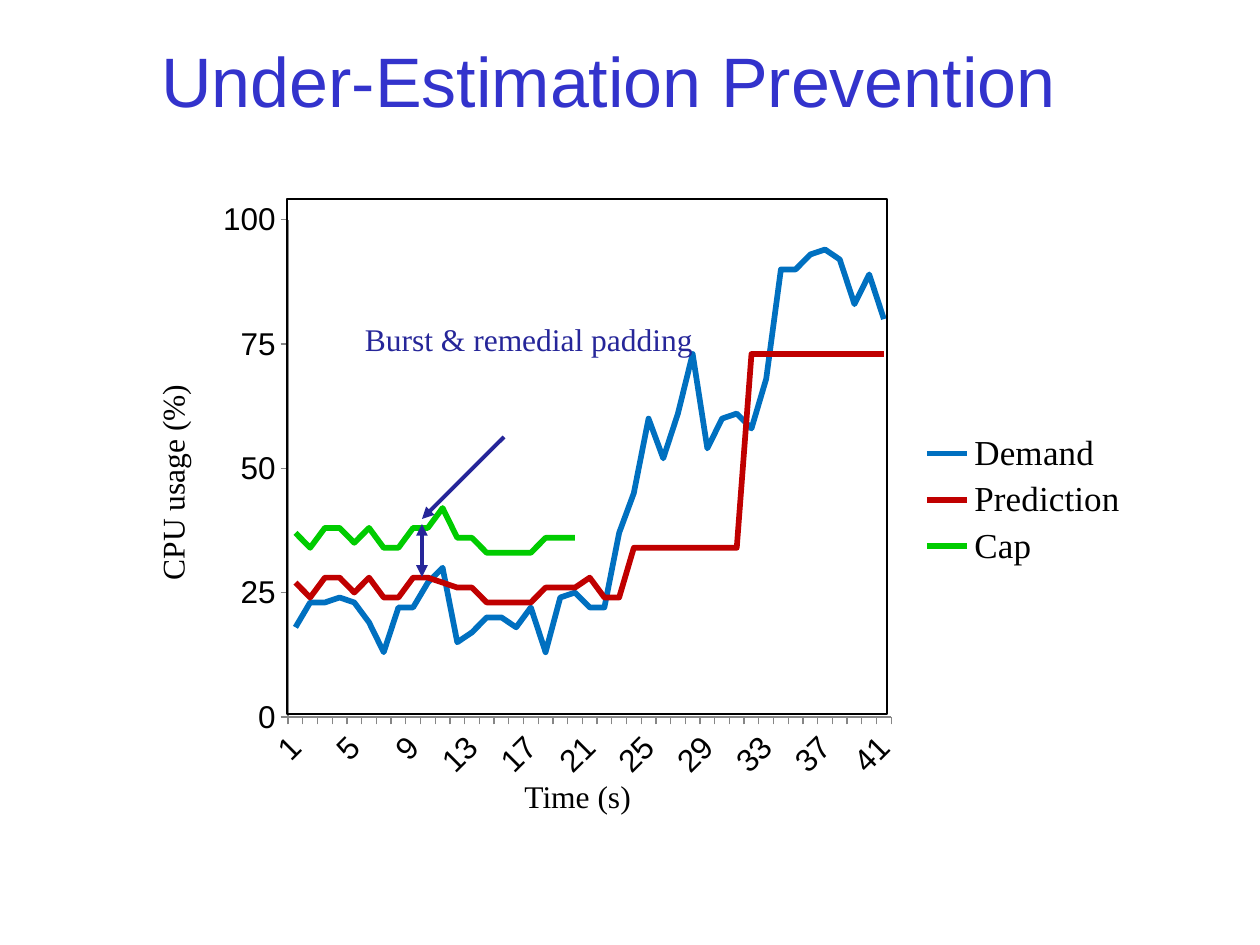
from dataclasses import dataclass
from typing import Any

from lxml.etree import SubElement
from pptx import Presentation
from pptx.chart.data import CategoryChartData
from pptx.dml.color import RGBColor
from pptx.enum.chart import XL_CHART_TYPE as ChartType
from pptx.enum.chart import XL_LEGEND_POSITION as LegendPosition
from pptx.enum.chart import XL_TICK_MARK as TickMark
from pptx.enum.shapes import MSO_CONNECTOR as Connector
from pptx.enum.shapes import MSO_SHAPE as Shape
from pptx.enum.text import MSO_ANCHOR as Anchor
from pptx.enum.text import PP_ALIGN as Align
from pptx.oxml import parse_xml
from pptx.oxml.ns import nsdecls, qn
from pptx.util import Emu, Pt

PX = 914400 / 126
SERIF = "Times New Roman"
COLORS = {
    "title": "3333CC", "note": "262699", "text": "000000", "axis": "868686",
    "Demand": "0070C0", "Prediction": "C00000", "Cap": "00CC00",
}
SERIES = {
    "Demand": [18, 23, 23, 24, 23, 19, 13, 22, 22, 27, 30, 15, 17, 20, 20, 18, 22, 13, 24, 25, 22,
               22, 37, 45, 60, 52, 61, 73, 54, 60, 61, 58, 68, 90, 90, 93, 94, 92, 83, 89, 80],
    "Prediction": [27, 24, 28, 28, 25, 28, 24, 24, 28, 28, 27, 26, 26, 23, 23, 23, 23, 26, 26, 26,
                   28, 24, 24] + [34] * 8 + [73] * 10,
    "Cap": [37, 34, 38, 38, 35, 38, 34, 34, 38, 38, 42, 36, 36, 33, 33, 33, 33, 36, 36, 36]
           + [None] * 21,
}


@dataclass
class Label:
    text: str
    box: tuple[int, int, int, int]
    color: str
    align: Any = Align.CENTER
    vertical: bool = False


@dataclass
class Arrow:
    start: tuple[int, int]
    end: tuple[int, int]
    ends: tuple[str, ...]


LABELS = [
    Label("Burst & remedial padding", (348, 314, 362, 115), "note"),
    Label("Time (s)", (512, 771, 169, 63), "text", Align.LEFT),
    Label("CPU usage (%)", (147, 344, 77, 277), "text", vertical=True),
]
ARROWS = [
    Arrow((504, 437), (422, 519), ("tailEnd",)),
    Arrow((422, 524), (422, 577), ("headEnd", "tailEnd")),
]


def px(*lengths: int) -> list[Emu]:
    return [Emu(round(length * PX)) for length in lengths]


def rgb(name: str) -> RGBColor:
    return RGBColor.from_string(COLORS[name])


def apply(target: Any, **values: Any) -> None:
    for name, value in values.items():
        setattr(target, name, value)


def set_font(font: Any, name: str, size: int, color: str) -> None:
    apply(font, name=name, size=Pt(size))
    font.color.rgb = rgb(color)


def set_line(line: Any, color: str, width: float) -> None:
    line.color.rgb = rgb(color)
    line.width = Pt(width)


def add_title(slide: Any, text: str) -> None:
    title = slide.shapes.title
    left, top, width, height = px(73, 0, 1071, 158)
    apply(title, left=left, top=top, width=width, height=height)
    apply(title.text_frame, text=text, vertical_anchor=Anchor.MIDDLE, word_wrap=True)
    paragraph = title.text_frame.paragraphs[0]
    paragraph.alignment = Align.CENTER
    set_font(paragraph.font, "Arial", 40, "title")


def set_plot_layout(chart: Any, **fractions: float) -> None:
    plot_area = chart._chartSpace.chart.plotArea
    for old in plot_area.findall(qn("c:layout")):
        plot_area.remove(old)
    layout = parse_xml(f"<c:layout {nsdecls('c')}/>")
    manual = SubElement(layout, qn("c:manualLayout"))
    settings = {"layoutTarget": "inner", "xMode": "edge", "yMode": "edge", **fractions}
    for name, value in settings.items():
        SubElement(manual, qn(f"c:{name}")).set("val", str(value))
    plot_area.insert(0, layout)


def add_usage_chart(slide: Any) -> None:
    data = CategoryChartData()
    data.categories = [str(second) for second in range(1, 42)]
    for name, values in SERIES.items():
        data.add_series(name, values)
    chart = slide.shapes.add_chart(ChartType.LINE, *px(189, 190, 953, 620), data).chart
    apply(chart, has_title=False, has_legend=True)
    set_font(chart.font, "Arial", 10, "text")
    apply(chart.legend, position=LegendPosition.RIGHT, include_in_layout=False)
    set_font(chart.legend.font, SERIF, 20, "text")
    set_plot_layout(chart, x=0.104, y=0.048, w=0.633, h=0.802)
    chart.plots[0].vary_by_categories = False
    for series in chart.plots[0].series:
        series.smooth = False
        set_line(series.format.line, series.name, 3.25)
    apply(chart.value_axis, minimum_scale=0, maximum_scale=100, major_unit=25)
    for axis in (chart.value_axis, chart.category_axis):
        apply(axis, has_major_gridlines=False, major_tick_mark=TickMark.OUTSIDE,
              minor_tick_mark=TickMark.NONE)
        set_font(axis.tick_labels.font, "Arial", 18, "text")
        set_line(axis.format.line, "axis", 0.75)
    category = chart.category_axis._element
    category.find(qn("c:txPr")).find(qn("a:bodyPr")).set("rot", "-2700000")
    for name, step in (("tickLblSkip", 4), ("tickMarkSkip", 1)):
        skip = parse_xml(f'<c:{name} {nsdecls("c")} val="{step}"/>')
        category.find(qn("c:noMultiLvlLbl")).addprevious(skip)


def add_label(slide: Any, label: Label) -> None:
    frame = slide.shapes.add_textbox(*px(*label.box)).text_frame
    apply(frame, text=label.text, word_wrap=True)
    if label.vertical:
        frame._txBody.bodyPr.set("vert", "vert270")
    paragraph = frame.paragraphs[0]
    paragraph.alignment = label.align
    set_font(paragraph.font, SERIF, 18, label.color)


def add_arrow(slide: Any, arrow: Arrow) -> None:
    connector = slide.shapes.add_connector(Connector.STRAIGHT, *px(*arrow.start, *arrow.end))
    set_line(connector.line, "note", 2.25)
    properties = connector._element.spPr
    for end in arrow.ends:
        SubElement(properties.find(qn("a:ln")), qn(f"a:{end}")).set("type", "triangle")
    SubElement(properties, qn("a:effectLst"))


def add_plot_frame(slide: Any) -> None:
    frame = slide.shapes.add_shape(Shape.RECTANGLE, *px(287, 199, 600, 515))
    frame.shadow.inherit = False
    frame.fill.background()
    set_line(frame.line, "text", 0.75)


def main() -> None:
    presentation = Presentation()
    width, height = px(1260, 945)
    apply(presentation, slide_width=width, slide_height=height)
    slide = presentation.slides.add_slide(presentation.slide_layouts[5])
    add_title(slide, "Under-Estimation Prevention")
    add_usage_chart(slide)
    add_plot_frame(slide)
    for label in LABELS:
        add_label(slide, label)
    for arrow in ARROWS:
        add_arrow(slide, arrow)
    presentation.save("out.pptx")


if __name__ == "__main__":
    main()
